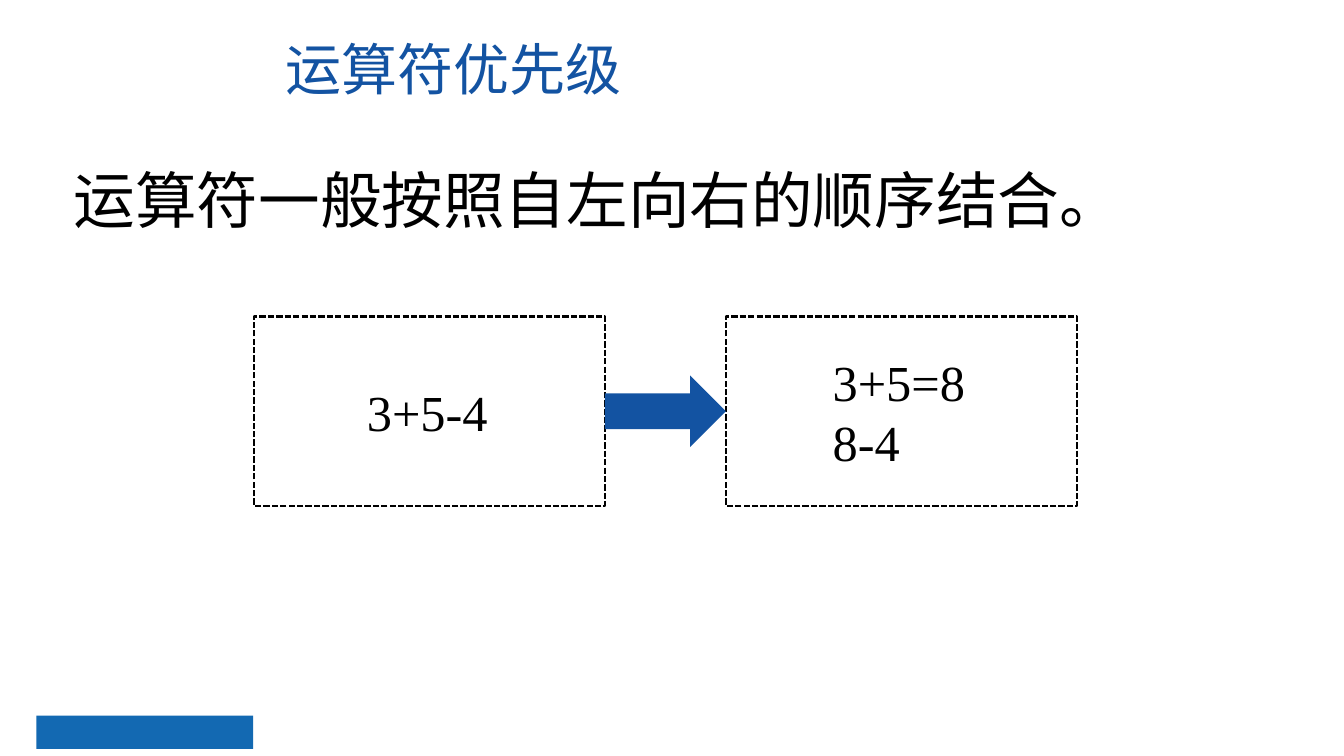
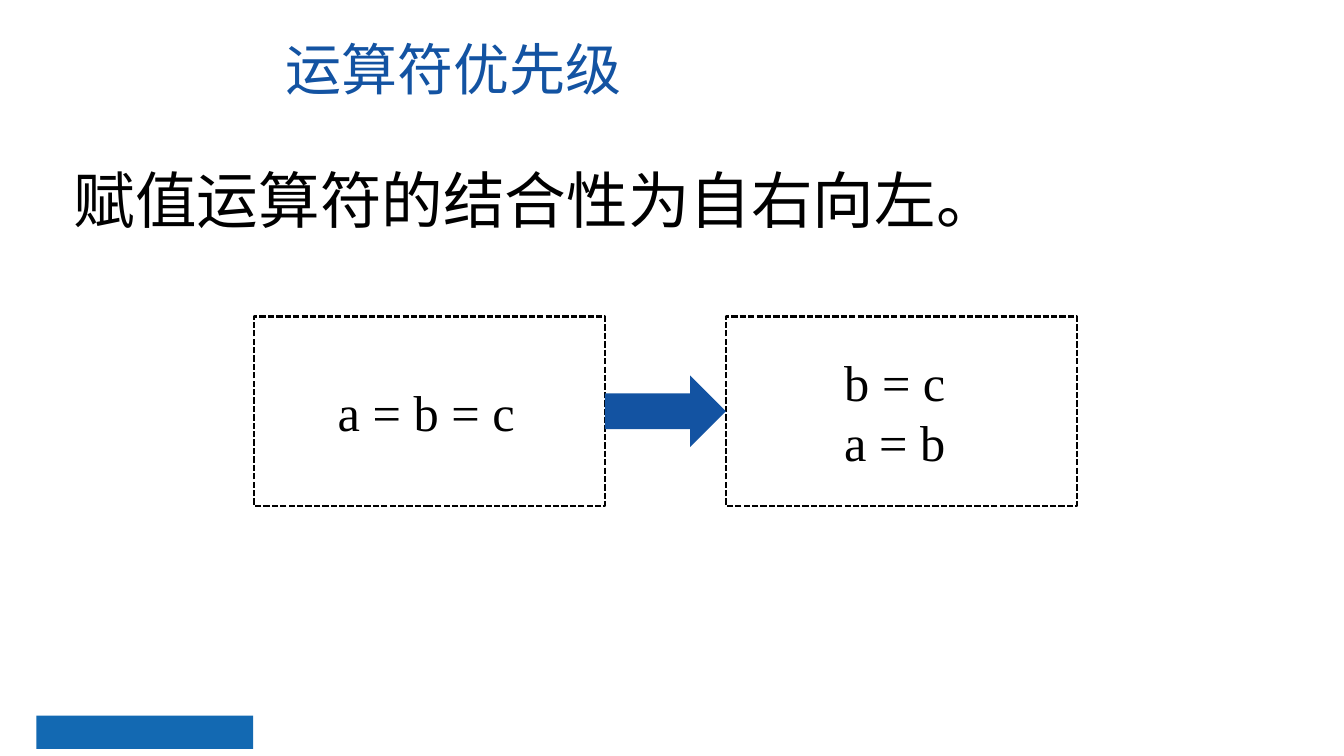
from lxml import etree
from pptx import Presentation, util as u
from pptx.dml.color import RGBColor
from pptx.enum import dml, shapes, text
from pptx.oxml.ns import qn

TITLE_BLUE = RGBColor(0x13, 0x53, 0xA2)
BAND_BLUE = RGBColor(0x13, 0x69, 0xB2)
BLACK = RGBColor(0, 0, 0)
CHINESE_FONT = "Noto Sans CJK SC"
CODE_FONT = "Times New Roman"

SLIDE_SIZE = (13.33, 7.5)
TITLE_BOX = (2.73, 0.29, 5.88, 0.77)
RULE_BOX = (0.63, 1.44, 12.29, 0.91)
DIAGRAM_BOX = (2.52, 3.14, 8.16, 1.88)
BAND_BOX = (0.36, 7.1, 2.15, 0.33)
FRAME_WIDTH = 3.48
ARROW_HEIGHT = 0.71
LINE_HEIGHT = 0.6
TEXT_PADDING = 0.11

TITLE = "运算符优先级"
EXAMPLES = [
    ("运算符一般按照自左向右的顺序结合。",
     (("3+5-4",), 1.44), (("3+5=8", "8-4"), 1.56)),
    ("赋值运算符的结合性为自右向左。",
     (("a = b = c",), 2.02), (("b = c", "a = b"), 1.33)),
]


def inches(box):
    return [u.Inches(length) for length in box]


def write_lines(holder, lines, size, font_name, color, spacing=1.0):
    frame = holder.text_frame
    frame.text = "\n".join(lines)
    frame.word_wrap = True
    frame.auto_size = text.MSO_AUTO_SIZE.NONE
    frame.vertical_anchor = text.MSO_ANCHOR.MIDDLE
    for paragraph in frame.paragraphs:
        paragraph.alignment = text.PP_ALIGN.LEFT
        paragraph.line_spacing = spacing
        paragraph.space_before = u.Pt(0)
        paragraph.font.size = u.Pt(size)
        paragraph.font.color.rgb = color
        paragraph.font.name = font_name
    for properties in holder.element.iter(qn("a:defRPr")):
        etree.SubElement(properties, qn("a:ea")).set("typeface", font_name)


def fill_placeholder(placeholder, box, line, size, color, spacing=1.0):
    placeholder.left, placeholder.top, placeholder.width, placeholder.height = inches(box)
    write_lines(placeholder, [line], size, CHINESE_FONT, color, spacing)


def remove_bullets(placeholder):
    for properties in placeholder.element.iter(qn("a:pPr")):
        properties.set("marL", "0")
        properties.set("indent", "0")
        no_bullet = etree.Element(qn("a:buNone"))
        properties.find(qn("a:defRPr")).addprevious(no_bullet)


def add_solid(slide, preset, box, color):
    solid = slide.shapes.add_shape(preset, *inches(box))
    solid.shadow.inherit = False
    solid.fill.solid()
    solid.fill.fore_color.rgb = color
    solid.line.fill.background()
    return solid


def add_expression(slide, box, lines, width):
    left, top, frame_width, frame_height = box
    frame = slide.shapes.add_shape(shapes.MSO_SHAPE.RECTANGLE, *inches(box))
    frame.shadow.inherit = False
    frame.fill.background()
    frame.line.color.rgb = BLACK
    frame.line.width = u.Pt(1.5)
    frame.line.dash_style = dml.MSO_LINE.SQUARE_DOT

    height = TEXT_PADDING + LINE_HEIGHT * len(lines)
    expression = slide.shapes.add_textbox(*inches((
        left + (frame_width - width) / 2,
        top + (frame_height - height) / 2, width, height)))
    write_lines(expression, lines, 36, CODE_FONT, BLACK)


def add_diagram(slide, box, source, result):
    left, top, width, height = box
    add_expression(slide, (left, top, FRAME_WIDTH, height), *source)
    add_expression(slide, (left + width - FRAME_WIDTH, top, FRAME_WIDTH, height), *result)
    add_solid(slide, shapes.MSO_SHAPE.RIGHT_ARROW,
              (left + FRAME_WIDTH, top + (height - ARROW_HEIGHT) / 2,
               width - 2 * FRAME_WIDTH, ARROW_HEIGHT), TITLE_BLUE)


def add_example_slide(deck, rule, source, result):
    slide = deck.slides.add_slide(deck.slide_layouts[1])
    fill_placeholder(slide.shapes.title, TITLE_BOX, TITLE, 40, TITLE_BLUE)
    body = slide.placeholders[1]
    fill_placeholder(body, RULE_BOX, rule, 44, BLACK, spacing=1.2)
    remove_bullets(body)
    add_diagram(slide, DIAGRAM_BOX, source, result)
    return slide


def main():
    deck = Presentation()
    deck.slide_width, deck.slide_height = inches(SLIDE_SIZE)
    slides = [add_example_slide(deck, *example) for example in EXAMPLES]
    band = add_solid(slides[0], shapes.MSO_SHAPE.RECTANGLE, BAND_BOX, BAND_BLUE)
    deck.slide_master.shapes.element.append(band.element)
    deck.save("out.pptx")


if __name__ == "__main__":
    main()
